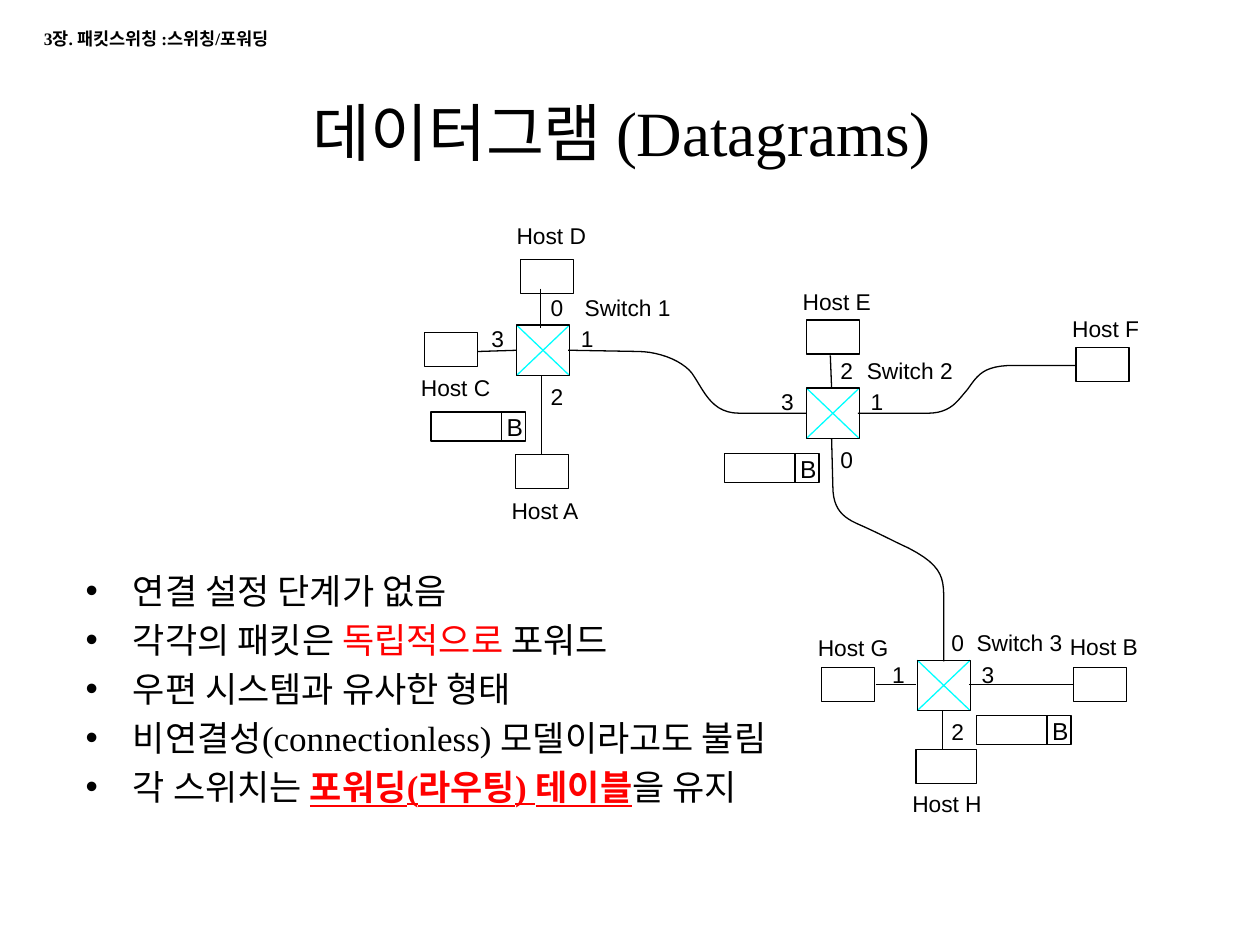
from pptx import Presentation
from pptx.dml.color import RGBColor
from pptx.enum.shapes import MSO_CONNECTOR as Connector, MSO_SHAPE as Shape
from pptx.enum.text import MSO_ANCHOR as Anchor, PP_ALIGN as Align
from pptx.oxml.ns import qn
from pptx.util import Inches, Pt

COLORS = {"ink": "000000", "accent": "FF0000", "cross": "00FFFF"}
SERIF, SANS = "Times New Roman", "Arial"
HOST_HEIGHT, SWITCH_WIDTH, SWITCH_HEIGHT = 0.27, 0.42, 0.4
PORT_OFFSETS = [(0.27, -0.25), (0.51, 0), (0.27, 0.46), (-0.2, 0)]  # top, right, bottom, left


def bezier(start, control_1, control_2, end, steps=12):
    """Points along a cubic curve, without the starting point."""
    points = []
    for step in range(1, steps + 1):
        t = step / steps
        weights = ((1 - t) ** 3, 3 * t * (1 - t) ** 2, 3 * t * t * (1 - t), t ** 3)
        corners = (start, control_1, control_2, end)
        points.append(tuple(sum(w * corner[axis] for w, corner in zip(weights, corners))
                            for axis in (0, 1)))
    return points


class NetworkSlide:
    def __init__(self, slide):
        self.slide = slide
        self.shapes = slide.shapes

    def run(self, paragraph, text, size, font=SERIF, color="ink", bold=False, underline=False):
        run = paragraph.add_run()
        run.text = text
        run.font.name, run.font.size = font, Pt(size)
        run.font.bold, run.font.underline = bold, underline
        run.font.color.rgb = RGBColor.from_string(COLORS[color])

    def place(self, shape, left, top, width, height):
        shape.left, shape.top = Inches(left), Inches(top)
        shape.width, shape.height = Inches(width), Inches(height)

    def outline(self, shape, weight):
        shape.shadow.inherit = False
        shape.fill.background()
        shape.line.color.rgb = RGBColor.from_string(COLORS["ink"])
        shape.line.width = Pt(weight)

    def title(self, text):
        shape = self.shapes.title
        self.place(shape, 0.58, 0.5, 8.83, 1.08)
        shape.text_frame.vertical_anchor = Anchor.MIDDLE
        paragraph = shape.text_frame.paragraphs[0]
        paragraph.alignment = Align.CENTER
        self.run(paragraph, text, 36)

    def bullets(self, items):
        shape = self.slide.placeholders[1]
        self.place(shape, 0.58, 4.47, 8.83, 2.61)
        frame = shape.text_frame
        for index, item in enumerate(items):
            paragraph = frame.add_paragraph() if index else frame.paragraphs[0]
            for text, style in item:
                self.run(paragraph, text, 20, **style)

    def label(self, text, left, top, size=13):
        box = self.shapes.add_textbox(Inches(left), Inches(top),
                                      Inches(0.1 * len(text) + 0.05), Inches(0.22))
        frame = box.text_frame
        frame.margin_left = frame.margin_right = frame.margin_top = frame.margin_bottom = 0
        frame.word_wrap = True
        self.run(frame.paragraphs[0], text, size, SANS)

    def header(self, text):
        box = self.shapes.add_textbox(Inches(0.25), Inches(0.17), Inches(2.83), Inches(0.27))
        box.text_frame.word_wrap = True
        self.run(box.text_frame.paragraphs[0], text, 10, bold=True)

    def rectangle(self, left, top, width, height, weight=0.75):
        shape = self.shapes.add_shape(Shape.RECTANGLE, Inches(left), Inches(top),
                                      Inches(width), Inches(height))
        self.outline(shape, weight)

    def line(self, start, end, color="ink", weight=0.75):
        connector = self.shapes.add_connector(
            Connector.STRAIGHT, *(Inches(value) for value in (*start, *end)))
        connector.line.color.rgb = RGBColor.from_string(COLORS[color])
        connector.line.width = Pt(weight)
        properties = connector._element.spPr
        properties.append(properties.makeelement(qn("a:effectLst"), {}))

    def curve(self, start, bend, segments, end):
        """A straight lead, a chain of cubic segments and a straight tail."""
        points = [bend]
        for segment in segments:
            points += bezier(points[-1], *segment)
        points.append(end)
        builder = self.shapes.build_freeform(Inches(start[0]), Inches(start[1]))
        builder.add_line_segments([(Inches(x), Inches(y)) for x, y in points], close=False)
        self.outline(builder.convert_to_shape(), 0.75)

    def host(self, letter, left, top, label_top, width=0.42):
        self.rectangle(left, top, width, HOST_HEIGHT)
        self.label(f"Host {letter}", left - 0.03, label_top)

    def switch(self, number, left, top, label_left, ports):
        right, bottom = left + SWITCH_WIDTH, top + SWITCH_HEIGHT
        self.line((left, top), (right, bottom), "cross")
        self.line((right, top), (left, bottom), "cross")
        self.rectangle(left, top, SWITCH_WIDTH, SWITCH_HEIGHT)
        self.label(f"Switch {number}", label_left, top - 0.25)
        for port, (x, y) in zip(ports, PORT_OFFSETS):
            self.label(port, left + x, top + y)

    def packet(self, left, top):
        self.rectangle(left, top, 0.75, 0.23, 0.88)
        self.line((left + 0.56, top), (left + 0.56, top + 0.23), weight=0.88)
        self.label("B", left + 0.6, top, 14)


def main():
    presentation = Presentation()
    presentation.slide_width, presentation.slide_height = Inches(10), Inches(7.5)
    page = NetworkSlide(presentation.slides.add_slide(presentation.slide_layouts[1]))

    # Heading and bullet list
    page.header("3장. 패킷스위칭 :스위칭/포워딩")
    page.title("데이터그램 (Datagrams) ")
    page.bullets([
        [("연결 설정 단계가 없음", {})],
        [("각각의 패킷은 ", {}), ("독립적으로", {"color": "accent"}), (" 포워드", {})],
        [("우편 시스템과 유사한 형태", {})],
        [("비연결성(connectionless) 모델이라고도 불림", {})],
        [("각 스위치는 ", {}),
         ("포워딩(라우팅) 테이블", {"color": "accent", "bold": True, "underline": True}),
         ("을 유지", {})],
    ])

    # Switches, with ports clockwise from the top
    page.switch(1, 4.1, 2.58, 4.64, "0123")
    page.switch(2, 6.4, 3.08, 6.88, "2103")
    page.switch(3, 7.28, 5.24, 7.75, "0321")

    # Hosts
    for letter, left, top, label_top in [
        ("A", 4.09, 3.61, 3.94), ("B", 8.52, 5.3, 5.02), ("C", 3.37, 2.64, 2.97),
        ("D", 4.13, 2.06, 1.76), ("E", 6.4, 2.54, 2.28), ("F", 8.54, 2.76, 2.5),
        ("G", 6.52, 5.3, 5.03),
    ]:
        page.host(letter, left, top, label_top)
    page.host("H", 7.27, 5.95, 6.27, width=0.48)

    # Straight links from hosts to switches
    for start, end in [
        ((4.1, 2.78), (3.79, 2.79)), ((4.29, 2.29), (4.29, 2.6)), ((4.3, 2.98), (4.3, 3.61)),
        ((6.59, 2.82), (6.6, 3.08)), ((6.95, 5.43), (7.27, 5.43)),
        ((7.69, 5.43), (8.52, 5.43)), ((7.48, 5.64), (7.48, 5.95)),
    ]:
        page.line(start, end)

    # Curved links: switch 1 to 2, switch 2 to host F, switch 2 to 3
    page.curve((4.51, 2.78), (5.06, 2.79),
               [((5.25, 2.79), (5.45, 2.88), (5.51, 2.99)),
                ((5.6, 3.13), (5.66, 3.28), (5.87, 3.28))], (6.4, 3.28))
    page.curve((6.81, 3.28), (7.36, 3.28),
               [((7.55, 3.28), (7.6, 3.18), (7.68, 3.09)),
                ((7.76, 2.98), (7.8, 2.9), (8.05, 2.9))], (8.54, 2.9))
    page.curve((6.6, 3.48), (6.61, 3.86),
               [((6.61, 4.05), (6.7, 4.11), (6.81, 4.16)),
                ((6.95, 4.22), (7.1, 4.3), (7.21, 4.35)),
                ((7.5, 4.5), (7.49, 4.6), (7.49, 4.8))], (7.49, 5.25))

    # Packets addressed to host B
    for left, top in [(3.42, 3.27), (5.75, 3.6), (7.75, 5.68)]:
        page.packet(left, top)

    presentation.save("out.pptx")


if __name__ == "__main__":
    main()
